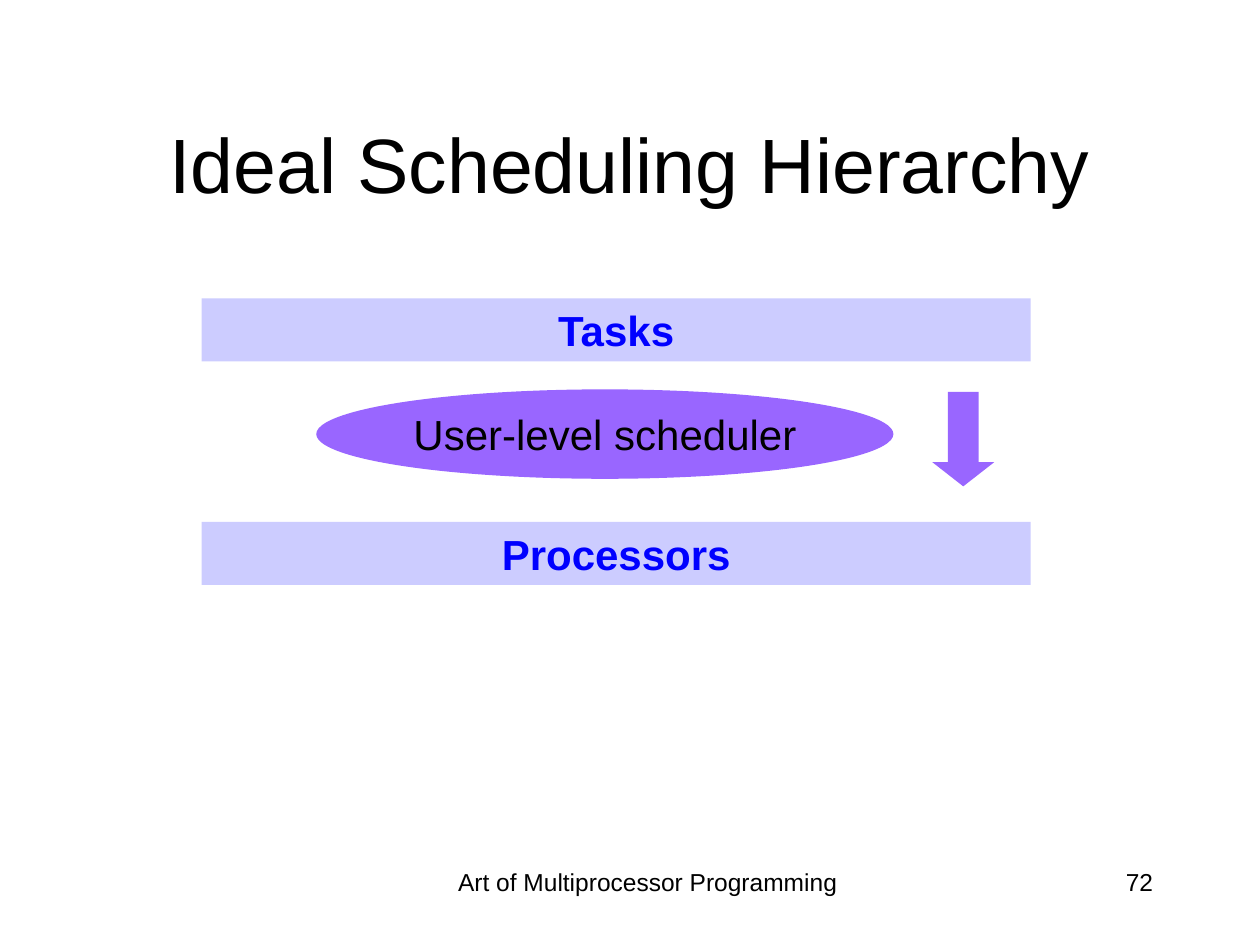
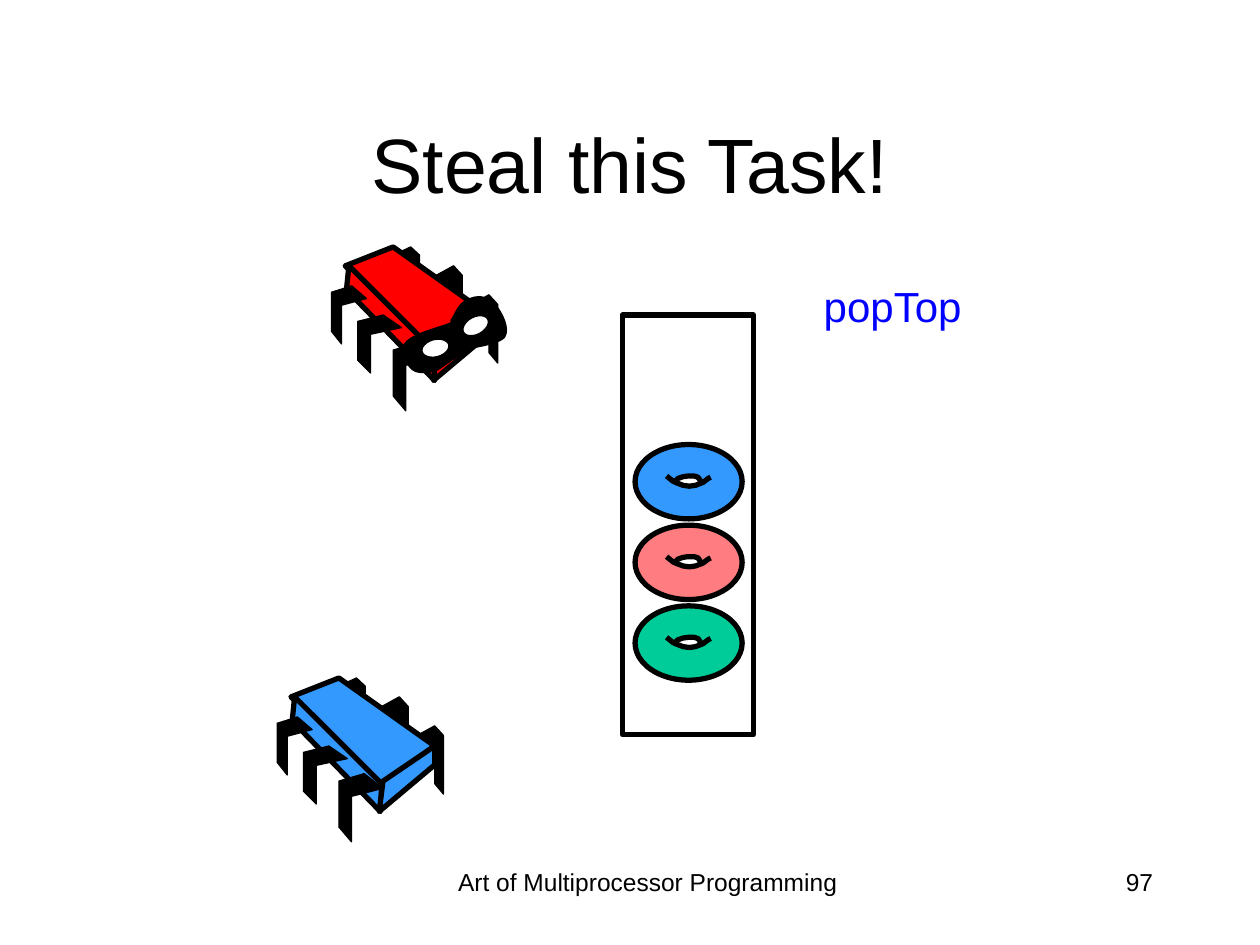
from pptx import Presentation
from pptx.dml.color import RGBColor
from pptx.enum.shapes import MSO_SHAPE
from pptx.enum.text import MSO_ANCHOR, PP_ALIGN
from pptx.util import Pt

RECTANGLE, ELLIPSE, DOWN_ARROW = MSO_SHAPE.RECTANGLE, MSO_SHAPE.OVAL, MSO_SHAPE.DOWN_ARROW
TOP, MIDDLE = MSO_ANCHOR.TOP, MSO_ANCHOR.MIDDLE
CENTER, RIGHT = PP_ALIGN.CENTER, PP_ALIGN.RIGHT

FONT = "Arial"
COLORS = {
    "black": "000000", "white": "FFFFFF", "blue_text": "0000FF",
    "lavender": "CCCCFF", "purple": "9966FF", "sky": "3399FF",
    "salmon": "FF7C80", "green": "00CC99", "red": "FF0000",
}
THICK, THIN = 3, 0.75

FOOTER = "Art of Multiprocessor Programming"
HIERARCHY = {"title": "Ideal Scheduling Hierarchy", "number": "72"}
STEALING = {"title": "Steal this Task!", "number": "97"}

LAYERS = ["Tasks", "Processors"]
LAYER_TOP, LAYER_STEP = 170.6, 127.7
SCHEDULER = "User-level scheduler"

METHOD = "popTop"
TASKS = ["sky", "salmon", "green"]
TASK_LEFT, TASK_TOP, TASK_STEP = 362.9, 254, 46.1
HOLE = [(23, 21.6), (25.9, 23), (28, 23.2), (32.4, 23.8), (38.2, 23),
        (34.6, 18.7), (33.1, 18), (25.9, 18.9), (23.8, 20.2)]
HOLE_EDGES = [
    [(22.3, 21.6), (24.5, 19.4), (27.4, 18.4), (30.2, 18), (33.8, 18), (36, 18.7), (38.2, 22)],
    [(18, 18), (21.6, 20.9), (23, 21.6), (27.4, 23.3), (31, 23.8), (34.6, 23.3),
     (38.9, 21.6), (41.8, 19.4), (43.2, 18.7)],
]

THIEF_AT, VICTIM_AT = (189.4, 141.1), (158.4, 387.4)
REAR_LEG = [(0, 5.5), (10, 0), (15, 5.5), (15, 39), (10, 33), (10, 11.5), (0, 16.5)]
FRONT_LEG = [(14.5, 0), (25, 8.5), (7.2, 13), (7.2, 39), (0, 30.5), (0, 4.3)]
REAR_LEGS = [(80, 27.4, 1, 1), (59.8, 10.8, 1, 1), (35.3, 0, 1, 0.85)]
FRONT_LEGS = [(35.3, 54.7, 1, 1), (15.1, 38.9, 1, 0.85), (0, 22.3, 0.8, 0.85)]
CHIP_FACES = [
    [(35.3, 0), (90, 38.9), (59, 61.2), (7.9, 10.8)],
    [(10, 10.8), (59.8, 60.5), (59, 76.3), (8.6, 24.5)],
    [(90, 38.9), (90, 49.7), (58.3, 76.3), (60.5, 59)],
]
MASK_CURVE = [
    (68.4, 44.6), (63.4, 46.8), (49.7, 49.7), (43.9, 54.7),
    (39.6, 59), (42.5, 64.8), (46.8, 69.1),
    (51.1, 72.7), (60.5, 69.1), (60.5, 69.1),
    (60.5, 69.1), (77.8, 56.9), (77.8, 56.9),
    (77.8, 56.9), (94.3, 54.7), (97.9, 51.1),
    (100.8, 46.8), (96.5, 38.2), (92.9, 33.8),
    (87.8, 28.8), (83.5, 28.8), (78.5, 31),
    (73.4, 33.1), (71.3, 39.6), (69.8, 41.8),
    (67.7, 43.9), (74.2, 43.2), (68.4, 44.6),
]
MASK_EYES = [(50.4, 51.8, -14.6), (73.4, 38.9, 151.3)]


def rgb(name):
    return RGBColor.from_string(COLORS[name])


def write(shape, text, size=24, color="black", bold=False, align=CENTER, anchor=MIDDLE, wrap=True):
    frame = shape.text_frame
    frame.word_wrap = wrap
    frame.vertical_anchor = anchor
    para = frame.paragraphs[0]
    para.alignment = align
    span = para.add_run()
    span.text = text
    span.font.name = FONT
    span.font.size = Pt(size)
    span.font.bold = bold
    span.font.color.rgb = rgb(color)


def paint(shape, fill=None, line=None):
    shape.shadow.inherit = False
    if fill:
        shape.fill.solid()
        shape.fill.fore_color.rgb = rgb(fill)
    else:
        shape.fill.background()
    if line:
        shape.line.color.rgb = rgb("black")
        shape.line.width = Pt(line)
    else:
        shape.line.fill.background()
    return shape


def add_box(page, kind, left, top, width, height, fill=None, line=None):
    box = page.shapes.add_shape(kind, Pt(left), Pt(top), Pt(width), Pt(height))
    return paint(box, fill, line)


def add_label(page, text, left, top, width, **style):
    box = page.shapes.add_textbox(Pt(left), Pt(top), Pt(width), Pt(36))
    write(box, text, anchor=TOP, **style)


def add_outline(page, points, origin, fill=None, line=THICK, scale=(1, 1), close=True):
    placed = [(Pt(origin[0] + x * scale[0]), Pt(origin[1] + y * scale[1])) for x, y in points]
    builder = page.shapes.build_freeform(*placed[0], scale=1.0)
    builder.add_line_segments(placed[1:], close=close)
    return paint(builder.convert_to_shape(), fill, line)


def smooth_curve(controls, steps=8):
    points = [controls[0]]
    for start in range(0, len(controls) - 1, 3):
        segment = controls[start:start + 4]
        for step in range(1, steps + 1):
            t = step / steps
            weights = ((1 - t) ** 3, 3 * t * (1 - t) ** 2, 3 * t * t * (1 - t), t ** 3)
            points.append(tuple(sum(w * point[axis] for w, point in zip(weights, segment))
                                for axis in (0, 1)))
    return points


def add_page(deck, content):
    page = deck.slides.add_slide(deck.slide_layouts[5])
    title = page.shapes.title
    title.left, title.top, title.width, title.height = Pt(54), Pt(48), Pt(612), Pt(90)
    write(title, content["title"], size=44)
    add_label(page, FOOTER, 246, 492, 248.4, size=14)
    add_label(page, content["number"], 516, 492, 150, size=14, align=RIGHT)
    return page


def add_legs(page, outline, legs, origin):
    for x, y, *scale in legs:
        add_outline(page, outline, (origin[0] + x, origin[1] + y), "black", THIN, scale)


def add_chip(page, origin, color):
    add_legs(page, REAR_LEG, REAR_LEGS, origin)
    for face in CHIP_FACES:
        add_outline(page, face, origin, color)
    add_legs(page, FRONT_LEG, FRONT_LEGS, origin)


def add_mask(page, origin):
    add_outline(page, smooth_curve(MASK_CURVE), origin, "black")
    for x, y, angle in MASK_EYES:
        eye = add_box(page, ELLIPSE, origin[0] + x, origin[1] + y, 18, 12.2, "white", THICK)
        eye.rotation = angle


def add_task(page, top, color):
    add_box(page, ELLIPSE, TASK_LEFT, top, 61.2, 42.5, color, THICK)
    add_outline(page, HOLE, (TASK_LEFT, top), "white", THIN)
    for edge in HOLE_EDGES:
        add_outline(page, edge, (TASK_LEFT, top), close=False)


def build_hierarchy(deck):
    page = add_page(deck, HIERARCHY)
    for index, layer in enumerate(LAYERS):
        band = add_box(page, RECTANGLE, 115.2, LAYER_TOP + index * LAYER_STEP, 473.8, 36, "lavender")
        write(band, layer, color="blue_text", bold=True)
    scheduler = add_box(page, ELLIPSE, 180.7, 222.5, 329.8, 51.1, "purple")
    write(scheduler, SCHEDULER, wrap=False)
    arrow = add_box(page, DOWN_ARROW, 532.8, 223.9, 35.3, 54, "purple")
    arrow.adjustments[0], arrow.adjustments[1] = 0.5, 0.39


def build_stealing(deck):
    page = add_page(deck, STEALING)
    add_box(page, RECTANGLE, 355.7, 180, 74.9, 239.8, line=THICK)
    add_chip(page, VICTIM_AT, "sky")
    add_label(page, METHOD, 462.2, 157, 95.8, color="blue_text", wrap=False)
    for index, color in enumerate(TASKS):
        add_task(page, TASK_TOP + index * TASK_STEP, color)
    add_chip(page, THIEF_AT, "red")
    add_mask(page, THIEF_AT)


def main():
    deck = Presentation()
    deck.slide_width, deck.slide_height = Pt(720), Pt(540)
    build_hierarchy(deck)
    build_stealing(deck)
    deck.save("out.pptx")


if __name__ == "__main__":
    main()
